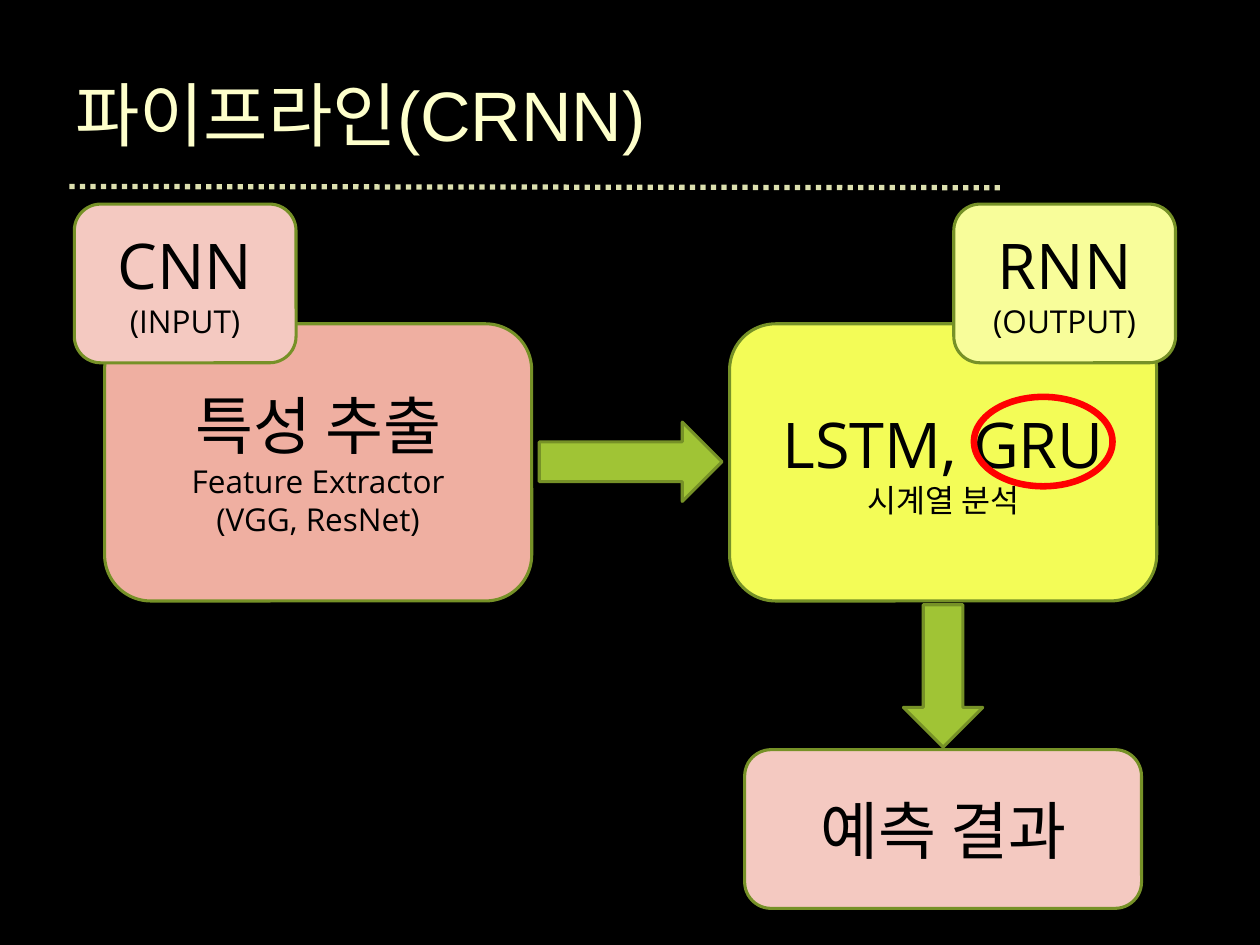
from lxml import etree
from pptx import Presentation
from pptx import util as u
from pptx.dml.color import RGBColor
from pptx.enum import dml, shapes, text
from pptx.oxml.ns import qn

# Content: place (left, top, width, height), fill, lines of (text, size)
TITLE = "파이프라인(CRNN)"
BOX = shapes.MSO_SHAPE.ROUNDED_RECTANGLE
STAGES = [
    ((0.83, 2.57, 3.39, 2.2), "EFAFA1",
     [("특성 추출", 36), ("Feature Extractor", 18), ("(VGG, ResNet)", 18)]),
    ((0.59, 1.62, 1.76, 1.26), "F4C9C1", [("CNN", 36), ("(INPUT)", 18)]),
    ((5.79, 2.57, 3.39, 2.2), "F3FC57",
     [("LSTM, GRU", 36), ("시계열 분석", 18)]),
    ((7.57, 1.62, 1.76, 1.26), "F8FD9A", [("RNN", 36), ("(OUTPUT)", 18)]),
    ((5.91, 5.95, 3.15, 1.26), "F4C9C1", [("예측 결과", 36)]),
]
ARROWS = [
    (shapes.MSO_SHAPE.RIGHT_ARROW, (4.28, 3.35, 1.45, 0.63)),
    (shapes.MSO_SHAPE.DOWN_ARROW, (7.17, 4.8, 0.63, 1.13)),
]
RING = (7.73, 3.15, 1.1, 0.71)
GREEN, EDGE = "A0C435", "769127"


def color(code):
    return RGBColor.from_string(code)


def write(frame, lines, font="Open Sans", ink="000000",
          align=text.PP_ALIGN.CENTER):
    frame.word_wrap = True
    frame.vertical_anchor = text.MSO_ANCHOR.MIDDLE
    for i, (words, size) in enumerate(lines):
        para = frame.add_paragraph() if i else frame.paragraphs[0]
        para.alignment = align
        run = para.add_run()
        run.text = words
        run.font.name = font
        run.font.size = u.Pt(size)
        run.font.color.rgb = color(ink)


def draw(kind, place, fill=None, edge=EDGE, width=1.75):
    shape = slide.shapes.add_shape(kind, *map(u.Inches, place))
    shape.shadow.inherit = False
    if fill:
        shape.fill.solid()
        shape.fill.fore_color.rgb = color(fill)
    else:
        shape.fill.background()
    shape.line.color.rgb = color(edge)
    shape.line.width = u.Pt(width)
    return shape


deck = Presentation()
deck.slide_width, deck.slide_height = u.Inches(10), u.Inches(7.5)
slide = deck.slides.add_slide(deck.slide_layouts[6])
slide.background.fill.solid()
slide.background.fill.fore_color.rgb = color("000000")

# Title and dotted rule
head = slide.shapes.add_textbox(*map(u.Inches, (0.5, 0.39, 7.47, 1.02)))
write(head.text_frame, [(TITLE, 40)], font="Arial", ink="FEFFCB",
      align=text.PP_ALIGN.LEFT)
rule = slide.shapes.add_connector(
    shapes.MSO_CONNECTOR.STRAIGHT, *map(u.Inches, (0.55, 1.48, 7.97, 1.49)))
rule.line.color.rgb = color("DDE0AF")
rule.line.width = u.Pt(3)
rule.line.dash_style = dml.MSO_LINE.ROUND_DOT
etree.SubElement(rule._element.spPr, qn("a:effectLst"))

# Flow arrows, stages and their tags
for kind, place in ARROWS:
    draw(kind, place, GREEN)
for place, fill, lines in STAGES:
    write(draw(BOX, place, fill).text_frame, lines)

# Ring around the chosen cell type
draw(shapes.MSO_SHAPE.OVAL, RING, edge="FF0000", width=3.75)

deck.save("out.pptx")
